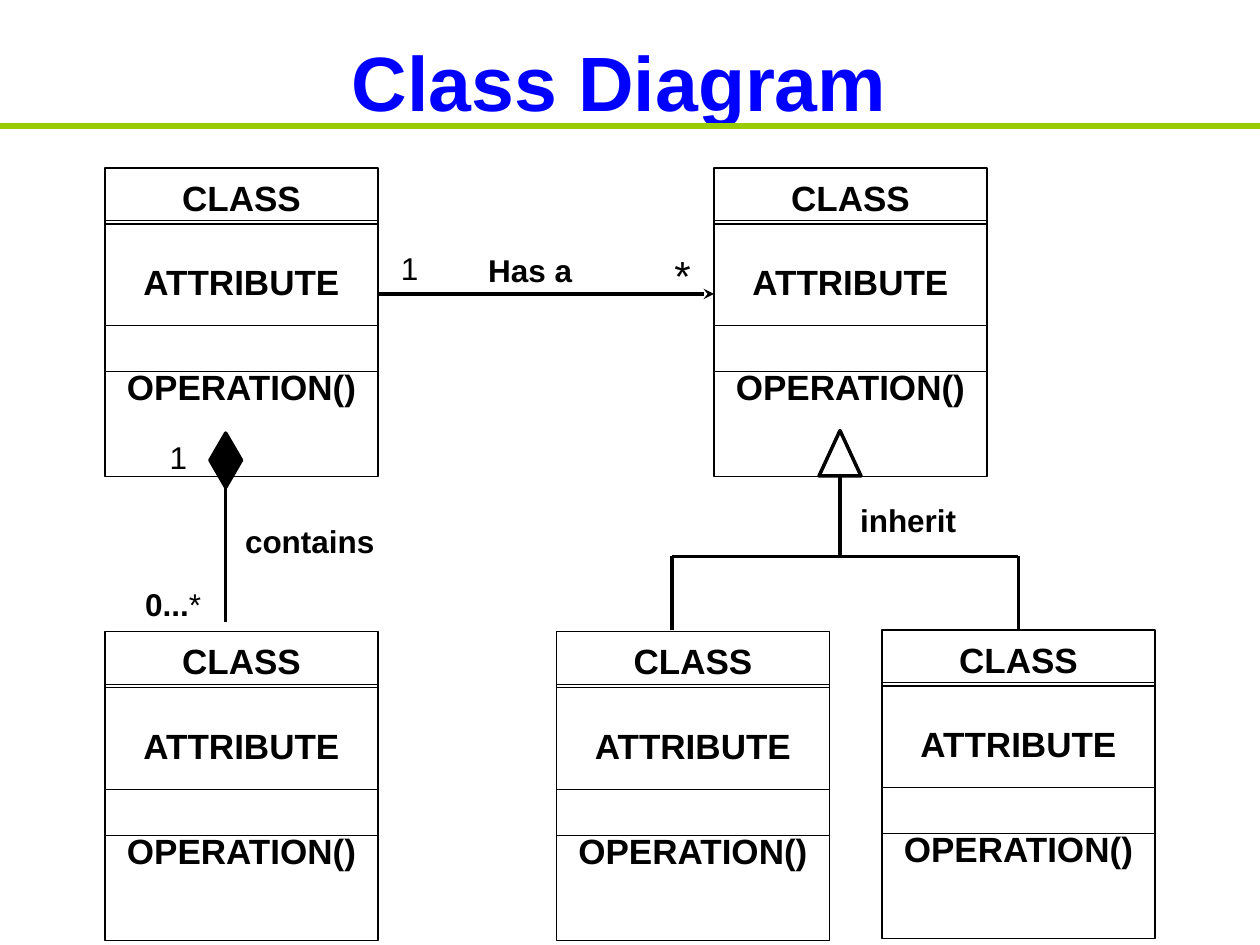
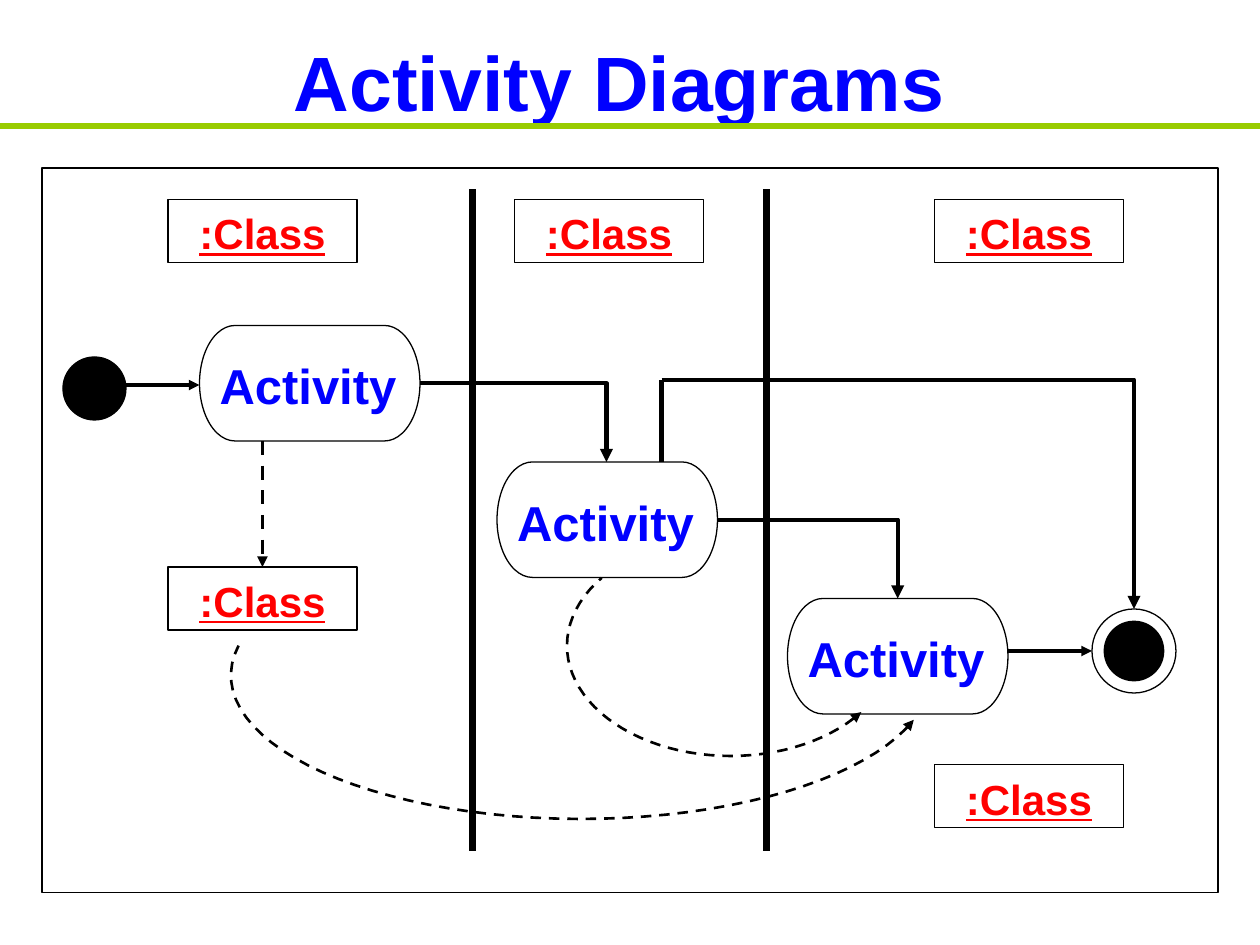
from dataclasses import dataclass
from math import cos, radians, sin

from pptx import Presentation
from pptx import util as u
from pptx.dml import color
from pptx.enum import dml, shapes, text
from pptx.oxml import ns, xmlchemy

Pt = u.Pt
SHAPE = shapes.MSO_SHAPE


@dataclass(frozen=True)
class Theme:
    font: str = "Arial"
    black: str = "000000"
    blue: str = "0000FF"
    red: str = "FF0000"
    green: str = "99CC00"
    title: int = 44
    activity: int = 28
    object: int = 24
    member: int = 20
    label: int = 18
    thin: float = 0.75
    curve: float = 1.5
    link: float = 2
    flow: float = 2.5
    rule: float = 3
    lane: float = 3.5


class Deck:
    """Holds the style, the presentation and the current slide."""

    def __init__(self, theme):
        self.t = theme
        self.prs = Presentation()
        self.prs.slide_width, self.prs.slide_height = Pt(720), Pt(540)
        self.s = None

    def slide(self, title):
        self.s = self.prs.slides.add_slide(self.prs.slide_layouts[6])
        self.label(title, 48, 12, 612, 61, self.t.title, self.t.blue,
                   top=7, middle=True)
        self.line((0, 72), (720, 72), self.t.rule, self.t.green)

    def put_text(self, sp, runs, size, rgb, top=None, middle=False,
                 underline=None):
        """Fill a shape with one centred line; runs are (words, bold) pairs."""
        tf = sp.text_frame
        anchor = text.MSO_ANCHOR
        frame = {"word_wrap": True, "margin_left": 0, "margin_right": 0,
                 "margin_top": Pt(3.6 + size / 20 if top is None else top),
                 "margin_bottom": 0,
                 "vertical_anchor": anchor.MIDDLE if middle else anchor.TOP}
        for name, value in frame.items():
            setattr(tf, name, value)
        p = tf.paragraphs[0]
        p.alignment = text.PP_ALIGN.CENTER
        for words, bold in runs:
            r = p.add_run()
            r.text = words
            style = {"name": self.t.font, "size": Pt(size), "bold": bold,
                     "underline": underline}
            for name, value in style.items():
                setattr(r.font, name, value)
            r.font.color.rgb = color.RGBColor.from_string(rgb)

    def label(self, words, x, y, w, h, size, rgb, bold=True, **frame):
        sp = self.s.shapes.add_textbox(*map(Pt, (x, y, w, h)))
        runs = [(words, bold)] if isinstance(words, str) else words
        self.put_text(sp, runs, size, rgb, **frame)

    def stroke(self, sp, width, rgb=None, dash=False, head=None, tail=None):
        sp.line.color.rgb = color.RGBColor.from_string(rgb or self.t.black)
        sp.line.width = Pt(width)
        if dash:
            sp.line.dash_style = dml.MSO_LINE.DASH
        ln = sp._element.spPr.find(ns.qn("a:ln"))
        for tag, kind in (("a:headEnd", head), ("a:tailEnd", tail)):
            if kind:
                end = xmlchemy.OxmlElement(tag)
                end.set("type", kind)
                ln.append(end)

    def finish(self, sp, filled, width, **stroke):
        sp.shadow.inherit = False
        if filled:
            sp.fill.solid()
            sp.fill.fore_color.rgb = color.RGBColor.from_string(self.t.black)
        else:
            sp.fill.background()
        self.stroke(sp, width, **stroke)
        return sp

    def shape(self, kind, x, y, w, h, filled=False, width=None):
        sp = self.s.shapes.add_shape(kind, *map(Pt, (x, y, w, h)))
        return self.finish(sp, filled, width or self.t.thin)

    def line(self, start, end, width, rgb=None, elbow=False, **ends):
        kind = shapes.MSO_CONNECTOR
        c = self.s.shapes.add_connector(
            kind.ELBOW if elbow else kind.STRAIGHT, *map(Pt, start + end))
        self.stroke(c, width, rgb, **ends)
        sp_pr = c._element.spPr
        if elbow:  # a single corner: across, then down
            sp_pr.find(ns.qn("a:prstGeom")).set("prst", "bentConnector2")
        sp_pr.append(xmlchemy.OxmlElement("a:effectLst"))

    def arc(self, cx, cy, rx, ry, first, last, steps=48):
        """Dashed piece of an ellipse, with the arrowhead at the first angle."""
        angles = [radians(first + (last - first) * i / steps)
                  for i in range(steps + 1)]
        pts = [(Pt(cx + rx * cos(a)), Pt(cy + ry * sin(a))) for a in angles]
        fb = self.s.shapes.build_freeform(*pts[0], scale=1.0)
        fb.add_line_segments(pts[1:], close=False)
        self.finish(fb.convert_to_shape(), False, self.t.curve,
                    dash=True, head="triangle")

    def uml_class(self, x, y):
        parts = (("CLASS", 0, 32, None), ("ATTRIBUTE", 30, 86.5, 23),
                 ("OPERATION()", 90, 86.5, 23))
        for words, dy, h, top in parts:
            sp = self.shape(SHAPE.RECTANGLE, x, y + dy, 156, h)
            self.put_text(sp, [(words, True)], self.t.member, self.t.black, top)

    def object_box(self, x, y):
        sp = self.shape(SHAPE.RECTANGLE, x, y, 108, 36)
        self.put_text(sp, [(":Class", True)], self.t.object, self.t.red,
                      underline=True)

    def activity(self, x, y):
        self.label("Activity", x + 8, y + 15.5, 108, 34, self.t.activity,
                   self.t.blue, top=3, middle=True)
        self.shape(SHAPE.FLOWCHART_TERMINATOR, x, y, 126, 66)


def class_diagram(d):
    t = d.t
    d.slide("Class Diagram")
    for x, y in ((60, 96), (60, 361), (408, 96), (318, 361), (504, 360)):
        d.uml_class(x, y)

    # Association and composition
    d.line((216, 168), (408, 168), t.link, tail="stealth")
    d.line((129, 263), (129, 355.5), t.link, head="diamond")
    d.shape(SHAPE.FLOWCHART_DECISION, 120, 247.5, 18, 31, True, t.link)

    # Inheritance tree
    d.line((480, 271.5), (480, 318), t.link)
    d.shape(SHAPE.ISOSCELES_TRIANGLE, 468, 246, 24, 26, width=t.link)
    d.line((384, 318), (582, 318), t.link)
    for x in (384, 582):
        d.line((x, 318), (x, 360), t.link)

    # Names and multiplicities
    d.label("*", 378, 138, 24, 36, t.object, t.black, bold=False)
    for words, x, y, w, bold in (
            ("1", 222, 138, 24, False),
            ("1", 84, 246, 36, False),
            ([("0...", True), ("*", False)], 66, 330, 66, True),
            ("contains", 132, 294, 90, True),
            ("inherit", 480, 282, 78, True),
            ("Has a", 264, 139, 78, True)):
        d.label(words, x, y, w, 29, t.label, t.black, bold)


def activity_diagram(d):
    t = d.t
    d.slide("Activity Diagrams")

    # Frame and swimlanes
    d.shape(SHAPE.RECTANGLE, 24, 96, 672, 414)
    for x in (270, 438):
        d.line((x, 108), (x, 486), t.lane)

    # Start and end markers
    d.shape(SHAPE.OVAL, 36, 204, 36, 36, True)
    d.shape(SHAPE.OVAL, 631, 355, 34, 34, True)
    d.shape(SHAPE.OVAL, 624, 348, 48, 48)

    # Objects and activities
    for x, y in ((96, 114), (294, 114), (534, 114), (96, 324), (534, 437)):
        d.object_box(x, y)
    for x, y in ((114, 186), (284, 264), (450, 342)):
        d.activity(x, y)

    # Control flow
    for start, end in (((72, 220), (114, 220)), ((576, 372), (624, 372))):
        d.line(start, end, t.link, tail="triangle")
    d.line((378, 264), (378, 217), t.flow)
    for start, end in (((240, 219), (346.5, 264)), ((410, 297), (513, 342)),
                       ((378, 217), (648, 348))):
        d.line(start, end, t.flow, elbow=True, tail="triangle")

    # Object flow
    d.line((150, 252), (150, 324), t.link, dash=True, tail="triangle")
    d.arc(332, 386, 200, 82, 18, 192)
    d.arc(417.5, 369, 93.5, 63, 37, 218)


def main():
    d = Deck(Theme())
    class_diagram(d)
    activity_diagram(d)
    d.prs.save("out.pptx")


if __name__ == "__main__":
    main()
